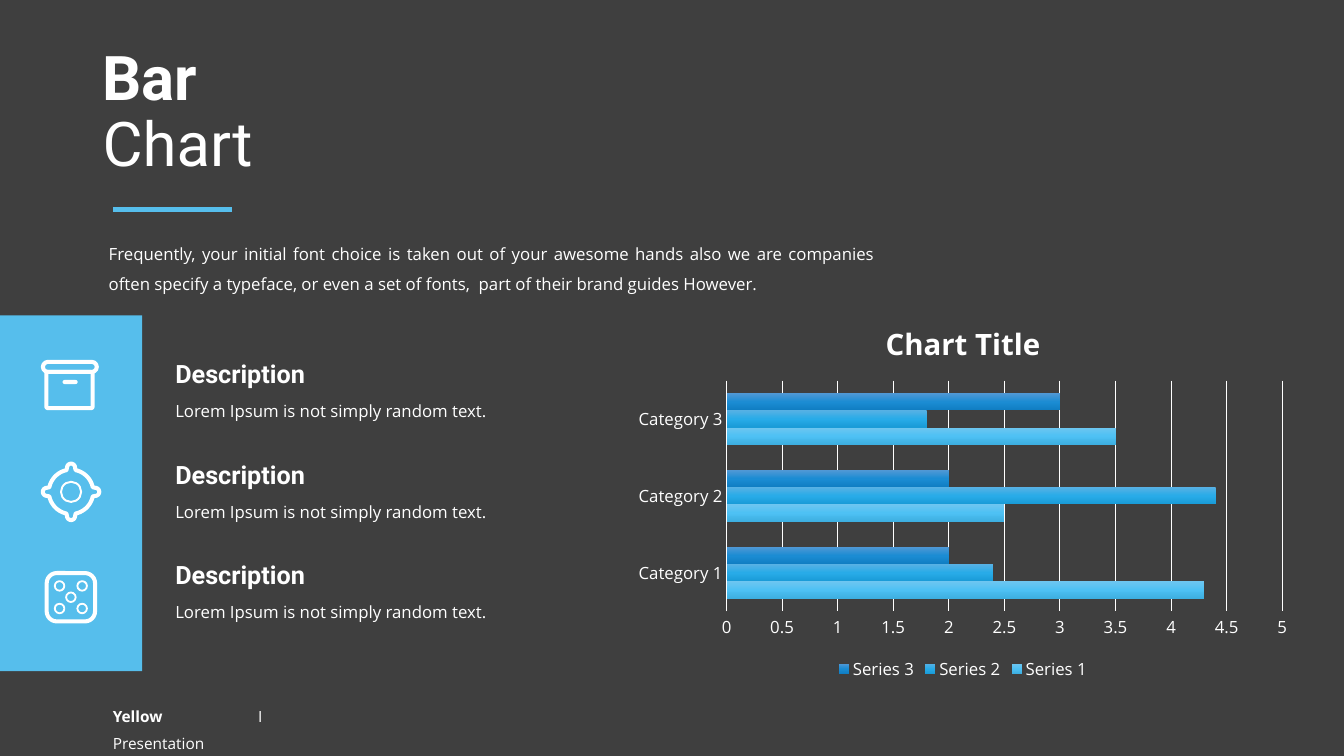
import copy
import math

import pptx
import pptx.chart.data
import pptx.dml.color
import pptx.enum.chart
import pptx.enum.shapes
import pptx.enum.text
import pptx.oxml
import pptx.oxml.ns
import pptx.util

COLORS = {"dark": "3F3F3F", "sky": "56BEEC", "white": "FFFFFF"}
CELL = pptx.util.Inches(0.1)  # side of one square cell of the page grid
COLUMNS, ROWS = 133.3, 75
HEADING_FONT, BODY_FONT = "Roboto", "Open Sans"
SHAPE = pptx.enum.shapes.MSO_SHAPE
ALIGN = pptx.enum.text.PP_ALIGN
ANCHOR = pptx.enum.text.MSO_ANCHOR

CATEGORIES = ["Category 1", "Category 2", "Category 3"]
SERIES = [
    ("Series 1", (4.3, 2.5, 3.5), ("6EC6F0", "4EC1F4", "3DAFE1")),
    ("Series 2", (2.4, 4.4, 1.8), ("57B1E4", "28ABE8", "1A9CD8")),
    ("Series 3", (2, 2, 3), ("5098D5", "1B8CD3", "107EC3")),
]
INTRO = ("Frequently, your initial font choice is taken out of your awesome hands "
         "also we are companies often specify a typeface, or even a set of fonts,  "
         "part of their brand guides However.")


def grid(*cells):
    return [round(cell * CELL) for cell in cells]


def color(name):
    return pptx.dml.color.RGBColor.from_string(COLORS.get(name, name))


def style_font(font, size, face=BODY_FONT, bold=False):
    font.size, font.name, font.bold = pptx.util.Pt(size), face, bold
    font.color.rgb = color("white")


def add_text(page, area, spans, size, face=BODY_FONT, spacing=1.0,
             align=ALIGN.LEFT, before=0, anchor=ANCHOR.TOP, stacked=False):
    """Add one paragraph of (text, bold) spans, one span a line if stacked."""
    frame = page.shapes.add_textbox(*grid(*area)).text_frame
    frame.word_wrap, frame.vertical_anchor = True, anchor
    para = frame.paragraphs[0]
    para.alignment, para.line_spacing = align, spacing
    para.space_before = pptx.util.Pt(before)
    for index, (text, bold) in enumerate(spans):
        if stacked and index:
            para.add_line_break()
        span = para.add_run()
        span.text = text
        style_font(span.font, size, face, bold)


def paint(shape, fill=None, line=0):
    """Fill with a named colour and draw a white outline of line points."""
    shape.shadow.inherit = False
    if fill:
        shape.fill.solid()
        shape.fill.fore_color.rgb = color(fill)
    else:
        shape.fill.background()
    if line:
        shape.line.color.rgb = color("white")
        shape.line.width = pptx.util.Pt(line)
    else:
        shape.line.fill.background()


def add_block(page, kind, area, fill=None, line=0, rounding=None):
    shape = page.shapes.add_shape(kind, *grid(*area))
    if rounding is not None:
        shape.adjustments[0] = rounding
    paint(shape, fill, line)


def add_ring(page, x, y, diameter, line):
    area = (x - diameter / 2, y - diameter / 2, diameter, diameter)
    add_block(page, SHAPE.OVAL, area, line=line)


def add_archive_icon(page):
    rounded = SHAPE.ROUNDED_RECTANGLE
    add_block(page, rounded, (4.25, 35.9, 5.35, 1), line=2.9, rounding=0.5)
    add_block(page, rounded, (4.6, 36.9, 4.6, 3.6), line=2.9, rounding=0.05)
    add_block(page, rounded, (6.2, 37.7, 1.5, 0.4), fill="white", rounding=0.5)


def add_target_icon(page, x=7.05, y=48.8):
    """Draw a circle with four round lugs around a smaller ring."""
    radius, lug_center, lug_radius = 2.2, 2.4, 0.4
    points = []
    for side in range(0, 360, 90):
        facing = math.radians(side)
        for turn in range(-90, 91, 15):
            angle = math.radians(side + turn)
            points.append((
                x + lug_center * math.cos(facing) + lug_radius * math.cos(angle),
                y + lug_center * math.sin(facing) + lug_radius * math.sin(angle)))
        for turn in range(12, 79, 6):
            angle = math.radians(side + turn)
            points.append((x + radius * math.cos(angle), y + radius * math.sin(angle)))
    corners = [grid(*point) for point in points]
    outline = page.shapes.build_freeform(*corners[0])
    outline.add_line_segments(corners[1:], close=True)
    paint(outline.convert_to_shape(), line=2.9)
    add_ring(page, x, y, 2, 1.4)


def add_dice_icon(page, x=7.03, y=59.25):
    side, step = 4.8, 1.12
    add_block(page, SHAPE.ROUNDED_RECTANGLE,
              (x - side / 2, y - side / 2, side, side), line=2.9, rounding=0.21)
    for across, down in ((0, 0), (-1, -1), (1, -1), (-1, 1), (1, 1)):
        add_ring(page, x + across * step, y + down * step, 0.95, 1.3)


def add_accent_line(page):
    line = page.shapes.add_connector(
        pptx.enum.shapes.MSO_CONNECTOR.STRAIGHT, *grid(11.2, 20.8, 23, 20.8))
    line.line.color.rgb = color("sky")
    line.line.width = pptx.util.Pt(3.5)
    line._element.spPr.append(pptx.oxml.parse_xml(
        "<a:effectLst %s/>" % pptx.oxml.ns.nsdecls("a")))


def fill_gradient(series, shades):
    """Shade the bars from top to bottom in three even stops."""
    fill = series.format.fill
    fill.gradient()
    fill.gradient_angle = 270
    stops = series._element.find(".//" + pptx.oxml.ns.qn("a:gsLst"))
    stops.insert(1, copy.deepcopy(stops[0]))
    for index, (stop, shade) in enumerate(zip(fill.gradient_stops, shades)):
        stop.position = index / 2
        stop.color.rgb = color(shade)


def style_axis(axis):
    axis.major_tick_mark = axis.minor_tick_mark = pptx.enum.chart.XL_TICK_MARK.NONE
    style_font(axis.tick_labels.font, 12)


def add_bar_chart(page):
    data = pptx.chart.data.CategoryChartData()
    data.categories = CATEGORIES
    for name, values, _ in SERIES:
        data.add_series(name, values)
    chart = page.shapes.add_chart(pptx.enum.chart.XL_CHART_TYPE.BAR_CLUSTERED,
                                  *grid(62, 30, 67, 37.9), data).chart
    style_font(chart.font, 10)
    chart.has_title = True
    title = chart.chart_title.text_frame.paragraphs[0].add_run()
    title.text = "Chart Title"
    style_font(title.font, 21, bold=True)

    chart.has_legend = True
    chart.legend.position = pptx.enum.chart.XL_LEGEND_POSITION.BOTTOM
    chart.legend.include_in_layout = False
    style_font(chart.legend.font, 12)

    style_axis(chart.category_axis)
    style_axis(chart.value_axis)
    chart.value_axis.has_major_gridlines = True
    chart.value_axis.format.line.fill.background()
    for line, width in ((chart.category_axis.format.line, 1),
                        (chart.value_axis.major_gridlines.format.line, 0.75)):
        line.color.rgb = color("white")
        line.width = pptx.util.Pt(width)

    plot = chart.plots[0]
    plot.gap_width, plot.vary_by_categories = 150, False
    for series, (_, _, shades) in zip(plot.series, SERIES):
        fill_gradient(series, shades)


def main():
    deck = pptx.Presentation()
    deck.slide_width, deck.slide_height = grid(COLUMNS, ROWS)
    page = deck.slides.add_slide(deck.slide_layouts[6])
    page.background.fill.solid()
    page.background.fill.fore_color.rgb = color("dark")

    add_accent_line(page)
    add_text(page, (10.2, 68.7, 16.8, 3.4), [("Yellow ", True), ("I Presentation", False)],
             11, spacing=1.5, align=ALIGN.JUSTIFY)
    add_block(page, SHAPE.RECTANGLE, (0, 31.3, 14.1, 35.3), fill="sky")
    add_text(page, (9.2, 4, 115, 14.5), [("Bar", True), ("Chart", False)], 44,
             HEADING_FONT, spacing=0.9, anchor=ANCHOR.MIDDLE, stacked=True)
    add_text(page, (9.8, 22.7, 78, 7.4), [(INTRO, False)], 12, spacing=1.5,
             align=ALIGN.JUSTIFY, before=10)
    for index in range(3):
        top = 35.1 + index * 9.95
        add_text(page, (16.4, top, 16.3, 4), [("Description", True)], 18, HEADING_FONT)
        add_text(page, (16.4, top + 3.2, 33.3, 3.8),
                 [("Lorem Ipsum is not simply random text.", False)], 12, spacing=1.5)
    add_bar_chart(page)
    add_archive_icon(page)
    add_dice_icon(page)
    add_target_icon(page)
    deck.save("out.pptx")


if __name__ == "__main__":
    main()
